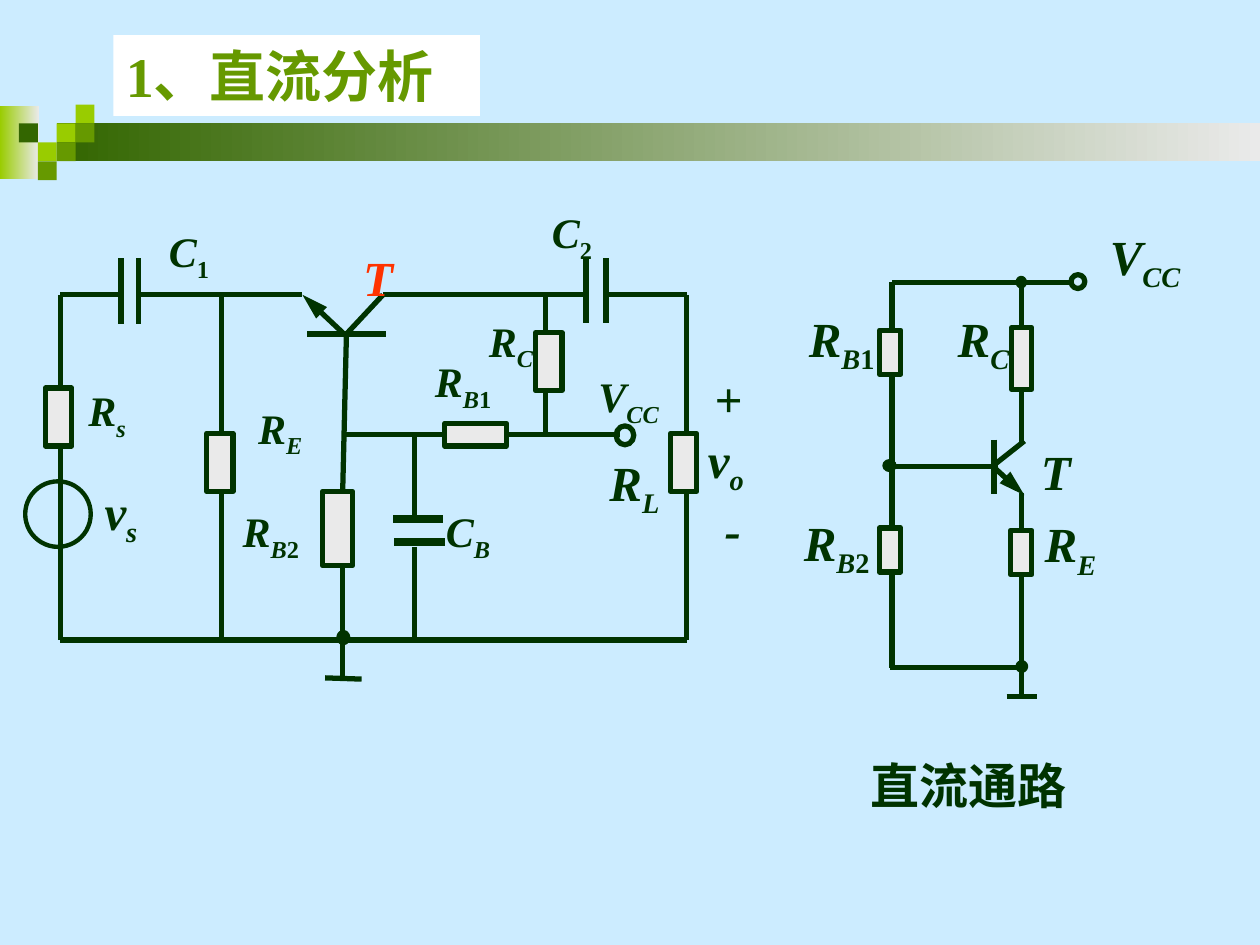
"""Build the DC analysis slide with the amplifier circuit and its DC path."""
from lxml import etree
from pptx import Presentation
from pptx.dml.color import RGBColor
from pptx.enum.shapes import MSO_CONNECTOR, MSO_SHAPE
from pptx.enum.text import MSO_ANCHOR, MSO_AUTO_SIZE, PP_ALIGN
from pptx.oxml.ns import qn
from pptx.util import Inches, Pt

STRAIGHT = MSO_CONNECTOR.STRAIGHT
RECTANGLE, OVAL = MSO_SHAPE.RECTANGLE, MSO_SHAPE.OVAL
MIDDLE, TOP = MSO_ANCHOR.MIDDLE, MSO_ANCHOR.TOP
LEFT, CENTER = PP_ALIGN.LEFT, PP_ALIGN.CENTER
GROW = MSO_AUTO_SIZE.SHAPE_TO_FIT_TEXT

SKY = RGBColor(0xCC, 0xEC, 0xFF)
INK = RGBColor(0x00, 0x33, 0x00)
GREY = RGBColor(0xEA, 0xEA, 0xEA)
LIME = RGBColor(0x99, 0xCC, 0x00)
OLIVE = RGBColor(0x66, 0x99, 0x00)
FOREST = RGBColor(0x33, 0x66, 0x00)
RED = RGBColor(0xFF, 0x33, 0x00)
WHITE = RGBColor(0xFF, 0xFF, 0xFF)
FONT = "Times New Roman"

deck = Presentation()
deck.slide_width, deck.slide_height = Inches(10), Inches(7.5)
page = deck.slides.add_slide(deck.slide_layouts[6])
page.background.fill.solid()
page.background.fill.fore_color.rgb = SKY


def add_block(kind, left, top, width, height, fill=None, line_width=None):
    block = page.shapes.add_shape(kind, Inches(left), Inches(top), Inches(width), Inches(height))
    block.shadow.inherit = False
    if fill is None:
        block.fill.background()
    else:
        block.fill.solid()
        block.fill.fore_color.rgb = fill
    if line_width is None:
        block.line.fill.background()
    else:
        block.line.color.rgb = INK
        block.line.width = Pt(line_width)
    return block


def add_wire(x1, y1, x2, y2, width=3):
    wire = page.shapes.add_connector(STRAIGHT, Inches(x1), Inches(y1), Inches(x2), Inches(y2))
    wire.line.color.rgb = INK
    wire.line.width = Pt(width)
    etree.SubElement(wire._element.spPr, qn("a:effectLst"))
    return wire


for left, top, width, height, color in [(0, 0.84, 0.31, 0.58, LIME), (0.45, 0.98, 9.55, 0.3, FOREST)]:
    band = add_block(RECTANGLE, left, top, width, height, color)
    band.fill.gradient()
    band.fill.gradient_angle = 0
    for stop, shade in zip(band.fill.gradient_stops, (color, GREY)):
        stop.color.rgb = shade

TILE = 0.15
for column, row, color in [(3, 1, LIME), (4, 0, LIME), (4, 1, OLIVE), (2, 2, LIME),
                           (1, 1, FOREST), (3, 2, OLIVE), (2, 3, OLIVE)]:
    add_block(RECTANGLE, column * TILE, 0.83 + row * TILE, TILE, TILE, color)

amplifier_wires = [
    (2.72, 5.08, 2.72, 5.4), (2.58, 5.38, 2.87, 5.39), (2.72, 3.9, 2.75, 2.63),
    (2.44, 2.65, 3.06, 2.65), (2.75, 2.65, 3.04, 2.34), (4.81, 2.05, 4.81, 2.56),
    (4.65, 2.05, 4.65, 2.56), (5.45, 2.34, 4.81, 2.34), (3.04, 2.34, 4.65, 2.34),
    (5.45, 2.34, 5.45, 5.08), (4.33, 2.34, 4.33, 3.45), (2.72, 5.08, 2.72, 4.49),
    (0.48, 5.08, 5.45, 5.08), (3.29, 3.45, 3.29, 4.12), (3.29, 4.34, 3.29, 5.08),
    (1.12, 2.34, 2.4, 2.34), (1.76, 2.34, 1.76, 5.08), (0.96, 2.05, 0.96, 2.57),
    (1.1, 2.05, 1.1, 2.57), (0.48, 2.34, 0.94, 2.34), (0.48, 5.08, 0.48, 2.34, 2.5),
    (3.12, 4.12, 3.52, 4.12, 4.5), (3.13, 4.3, 3.53, 4.3, 4.5),
]
dc_path_wires = [
    (8.11, 5.3, 8.11, 5.54), (7.99, 5.53, 8.23, 5.53), (7.08, 5.3, 7.08, 2.24),
    (7.08, 2.24, 8.1, 2.24), (7.02, 3.7, 7.92, 3.7), (7.89, 3.49, 7.89, 3.92),
    (7.89, 3.69, 8.13, 3.5), (8.11, 3.91, 8.11, 5.29), (7.06, 5.3, 8.11, 5.3),
    (8.1, 2.24, 8.49, 2.24),
]
for ends in amplifier_wires + dc_path_wires:
    add_wire(*ends)

for ends in [(2.73, 2.65, 2.4, 2.34), (7.89, 3.71, 8.13, 3.93)]:
    emitter = add_wire(*ends)
    etree.SubElement(emitter.line._get_or_add_ln(), qn("a:tailEnd"), type="triangle", w="med", len="lg")

for left, top, width, height in [
    (5.32, 3.44, 0.21, 0.46), (4.25, 2.64, 0.21, 0.46), (1.64, 3.44, 0.21, 0.46),
    (0.36, 3.08, 0.21, 0.46), (2.56, 3.9, 0.24, 0.59),
    (8.02, 4.21, 0.17, 0.35), (6.98, 4.19, 0.17, 0.35), (6.98, 2.62, 0.17, 0.35),
]:
    add_block(RECTANGLE, left, top, width, height, GREY, 3)

base_resistor = add_block(RECTANGLE, 3.53, 3.36, 0.49, 0.18, GREY, 3)
collector_resistor = add_block(RECTANGLE, 8.03, 2.6, 0.16, 0.49, GREY, 3)
for resistor, side, start, end in [
    (base_resistor, 1, (3.53, 3.45), (2.72, 3.45)),
    (base_resistor, 3, (4.02, 3.45), (4.92, 3.45)),
    (collector_resistor, 0, (8.11, 2.6), (8.11, 2.23)),
    (collector_resistor, 2, (8.11, 3.09), (8.11, 3.51)),
]:
    add_wire(*start, *end).begin_connect(resistor, side)

for left, top, width, height, fill, line_width in [
    (0.2, 3.82, 0.52, 0.52, None, 2.5),
    (4.89, 3.38, 0.14, 0.15, None, 3), (8.5, 2.18, 0.11, 0.11, None, 3),
    (2.69, 5.02, 0.07, 0.08, INK, 3), (8.08, 5.26, 0.06, 0.06, INK, 3),
    (8.08, 2.21, 0.05, 0.06, INK, 3), (7.01, 3.65, 0.1, 0.09, INK, 1),
]:
    add_block(OVAL, left, top, width, height, fill, line_width)

labels = [
    (4.64, 3.54, 0.79, 0.63, 28, "R", "L"), (0.6, 3, 0.5, 0.56, 24, "R", "s"),
    (0.73, 3.77, 0.46, 0.63, 28, "v", "s"), (1.24, 1.74, 0.52, 0.56, 24, "C", "1"),
    (4.28, 1.59, 0.52, 0.56, 24, "C", "2"), (3.78, 2.45, 0.55, 0.56, 24, "R", "C"),
    (3.35, 2.77, 0.65, 0.56, 24, "R", "B1"), (3.44, 3.96, 0.78, 0.56, 24, "C", "B"),
    (1.76, 3.96, 0.78, 0.56, 24, "R", "B2"), (1.95, 3.14, 0.55, 0.56, 24, "R", "E"),
    (4.65, 2.89, 0.72, 0.56, 24, "V", "CC"), (5.49, 3.36, 0.54, 0.63, 28, "v", "o"),
    (5.57, 2.87, 0.42, 0.57, 28, "+", ""), (5.65, 3.91, 0.33, 0.57, 28, "-", ""),
    (2.52, 1.91, 0.96, 0.57, 28, "T", ""), (6.32, 2.4, 0.72, 0.63, 28, "R", "B1"),
    (8.71, 1.75, 0.86, 0.63, 28, "V", "CC"), (7.5, 2.4, 0.61, 0.63, 28, "R", "C"),
    (8.16, 3.45, 0.44, 0.57, 28, "T", ""), (6.28, 4.02, 0.72, 0.63, 28, "R", "B2"),
    (8.19, 4.03, 0.61, 0.63, 28, "R", "E"),
]
for left, top, width, height, size, symbol, subscript in labels:
    box = page.shapes.add_textbox(Inches(left), Inches(top), Inches(width), Inches(height))
    frame = box.text_frame
    starts_left = (symbol, subscript) in [("V", "CC"), ("C", "B")]
    frame.word_wrap = starts_left
    frame.auto_size = GROW
    frame.vertical_anchor = MIDDLE
    para = frame.paragraphs[0]
    para.alignment = LEFT if starts_left else CENTER
    para.font.name, para.font.size, para.font.bold = FONT, Pt(size), True
    para.font.color.rgb = RED if (symbol, left) == ("T", 2.52) else INK
    letters, digits = subscript.rstrip("12"), subscript.lstrip("BCELso")
    for text, italic, lowered in [(symbol, True, False), (letters, True, True), (digits, False, True)]:
        if text:
            span = para.add_run()
            span.text = text
            span.font.italic = italic
            if lowered:
                span._r.get_or_add_rPr().set("baseline", "-25000")

caption = page.shapes.add_textbox(Inches(6.81), Inches(5.95), Inches(1.89), Inches(0.57))
title = add_block(RECTANGLE, 0.9, 0.28, 2.91, 0.64, WHITE)
for box, text, size, color, anchor in [(caption, "直流通路", 28, INK, TOP),
                                       (title, "1、直流分析", 32, OLIVE, MIDDLE)]:
    frame = box.text_frame
    frame.word_wrap = True
    frame.auto_size = GROW
    frame.vertical_anchor = anchor
    para = frame.paragraphs[0]
    para.text = text
    para.alignment = LEFT
    para.font.name, para.font.size, para.font.bold = FONT, Pt(size), True
    para.font.color.rgb = color

deck.save("out.pptx")
